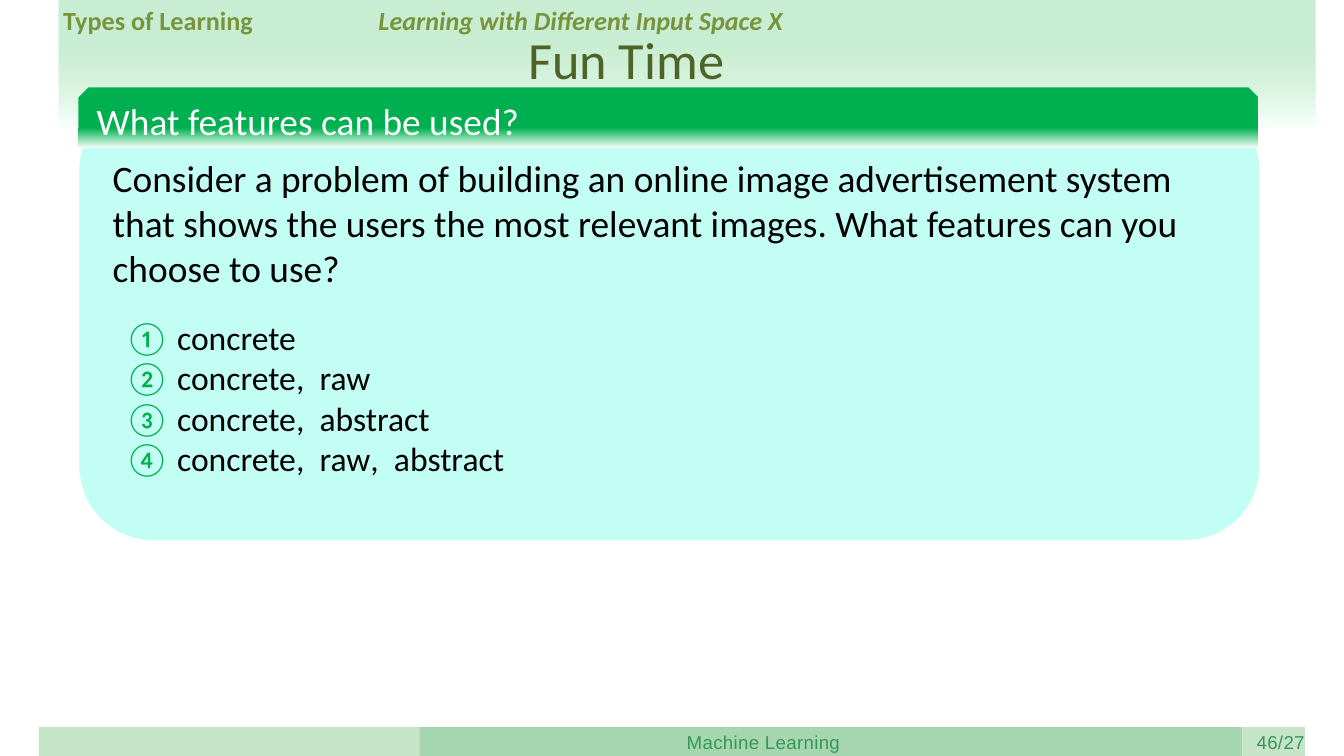
from lxml import etree
from pptx import Presentation, util as u
from pptx.dml import color
from pptx.enum import shapes, text
from pptx.oxml import ns

HUES = {
    "band": "ADE5BA", "fade": "F4FEF8", "pale": "C6E4C8", "mid": "A5D6AE",
    "foot": "349759", "head": "77933C", "title": "4F6228", "panel": "C2FEF3",
    "green": "00B050", "white": "FFFFFF", "black": "000000",
}
FORMS = {
    "head": {"size": u.Pt(14), "bold": True, "hue": "head"},
    "topic": {"size": u.Pt(14), "bold": True, "italic": True, "hue": "head"},
    "title": {"size": u.Pt(28), "hue": "title"},
    "ask": {"size": u.Pt(20), "hue": "white"},
    "body": {"size": u.Pt(20), "hue": "black"},
    "mark": {"size": u.Pt(18), "hue": "green"},
    "word": {"size": u.Pt(18), "hue": "black"},
    "gap": {"size": u.Pt(18), "hue": "black", "space": 2},
    "foot": {"size": u.Pt(10), "name": "Arial", "hue": "foot", "space": 0.2},
}
SNUG = (7.2, 3.6)
OPTIONS = [
    ("①", ["concrete"]),
    ("②", ["concrete", "raw"]),
    ("③", ["concrete", "abstract"]),
    ("④", ["concrete", "raw", "abstract"]),
]


def rgb(hue):
    """Return the named colour."""
    return color.RGBColor.from_string(HUES[hue])


def write(para, words, form):
    """Add a run in the named format."""
    run = para.add_run()
    run.text = words
    look = {"name": "Calibri", **FORMS[form]}
    run.font.color.rgb = rgb(look.pop("hue"))
    space = look.pop("space", 0)
    if space:
        run._r.get_or_add_rPr().set("spc", str(round(space * 100)))
    for key, value in look.items():
        setattr(run.font, key, value)


def frame(shape, pads=SNUG, anchor=text.MSO_ANCHOR.TOP):
    """Set wrapping, insets and anchor, and return the text frame."""
    area = shape.text_frame
    side, edge = map(u.Pt, pads)
    look = {
        "word_wrap": True, "auto_size": text.MSO_AUTO_SIZE.NONE,
        "vertical_anchor": anchor, "margin_left": side, "margin_right": side,
        "margin_top": edge, "margin_bottom": edge,
    }
    for key, value in look.items():
        setattr(area, key, value)
    return area


def label(slide, box, words, form, pads=SNUG):
    """Place one line or paragraph of text."""
    area = frame(slide.shapes.add_textbox(*map(u.Pt, box)), pads)
    write(area.paragraphs[0], words, form)


def block(slide, kind, box, hue):
    """Place a filled shape without a line."""
    shape = slide.shapes.add_shape(kind, *map(u.Pt, box))
    shape.shadow.inherit = False
    shape.line.fill.background()
    shape.fill.solid()
    shape.fill.fore_color.rgb = rgb(hue)
    return shape


def fade(shape, start, end, alpha=100):
    """Fill a shape from top to bottom between two (hue, position) stops."""
    shape.fill.gradient()
    shape.fill.gradient_angle = 270
    for stop, (hue, place) in zip(shape.fill.gradient_stops, (start, end)):
        stop.color.rgb = rgb(hue)
        stop.position = place
    if alpha < 100:
        tone = shape.element.spPr.find(".//" + ns.qn("a:srgbClr"))
        etree.SubElement(tone, ns.qn("a:alpha")).set("val", str(alpha * 1000))


def header(slide, box):
    """Place the faded band, the section labels and the title."""
    x, y, w, h = box
    band = block(slide, shapes.MSO_SHAPE.RECTANGLE, box, "band")
    fade(band, ("band", 0.37), ("fade", 0.96), 65)
    label(slide, (x - 5, y, 169, 22), "Types of Learning", "head")
    label(slide, (x + 164, y, 272, 22),
          "Learning with Different Input Space X", "topic")
    title = slide.shapes.title
    spot = {"left": x + 70.5, "top": y + 12.2, "width": 466.6, "height": 39.6}
    for key, value in spot.items():
        setattr(title, key, u.Pt(value))
    para = frame(title).paragraphs[0]
    para.alignment = text.PP_ALIGN.CENTER
    write(para, "Fun Time", "title")
    band.element.getparent().append(title.element)


def quiz(slide, box):
    """Place the question panel with its heading and options."""
    x, y, w, h = box
    block(slide, shapes.MSO_SHAPE.ROUNDED_RECTANGLE, box, "panel")
    bar = block(slide, shapes.MSO_SHAPE.SNIP_2_SAME_RECTANGLE,
                (x - 0.5, y - 5, w, 32.4), "green")
    fade(bar, ("green", 0.67), ("fade", 1))
    para = frame(bar, anchor=text.MSO_ANCHOR.MIDDLE).paragraphs[0]
    para.alignment = text.PP_ALIGN.LEFT
    write(para, "What features can be used?", "ask")
    label(slide, (x + 10.8, y + 28, 612, 80),
          "Consider a problem of building an online image advertisement "
          "system that shows the users the most relevant images. "
          "What features can you choose to use?", "body", SNUG)
    spot = (x + 17.3, y + 114.5, 264, 94.3)
    area = frame(slide.shapes.add_textbox(*map(u.Pt, spot)), SNUG)
    for row, (mark, words) in enumerate(OPTIONS):
        para = area.add_paragraph() if row else area.paragraphs[0]
        write(para, mark + " ", "mark")
        for rank, word in enumerate(words):
            if rank:
                write(para, ", ", "gap")
            write(para, word, "word")


def footer(slide, box):
    """Place the three footer strips, the course name and the page number."""
    x, y, w, h = box
    left = x
    for wide, hue in ((203.8, "pale"), (440.9, "mid"), (33.5, "pale")):
        block(slide, shapes.MSO_SHAPE.RECTANGLE, (left, y, wide, h), hue)
        left += wide
    label(slide, (x + 347, y + 2.2, 155, 12.2),
          "Machine Learning", "foot", (0, 0))
    label(slide, (x + 652.3, y + 2.2, 36, 12.2), "46/27", "foot", (0, 0))


def main():
    """Build and save the slide."""
    deck = Presentation()
    deck.slide_width, deck.slide_height = u.Pt(720), u.Pt(405)
    slide = deck.slides.add_slide(deck.slide_layouts[5])
    header(slide, (31.7, -1.4, 673.2, 69.1))
    footer(slide, (20.9, 389.5, 678.2, 15.5))
    quiz(slide, (42.5, 51.8, 632.2, 237.6))
    deck.save("out.pptx")


if __name__ == "__main__":
    main()
